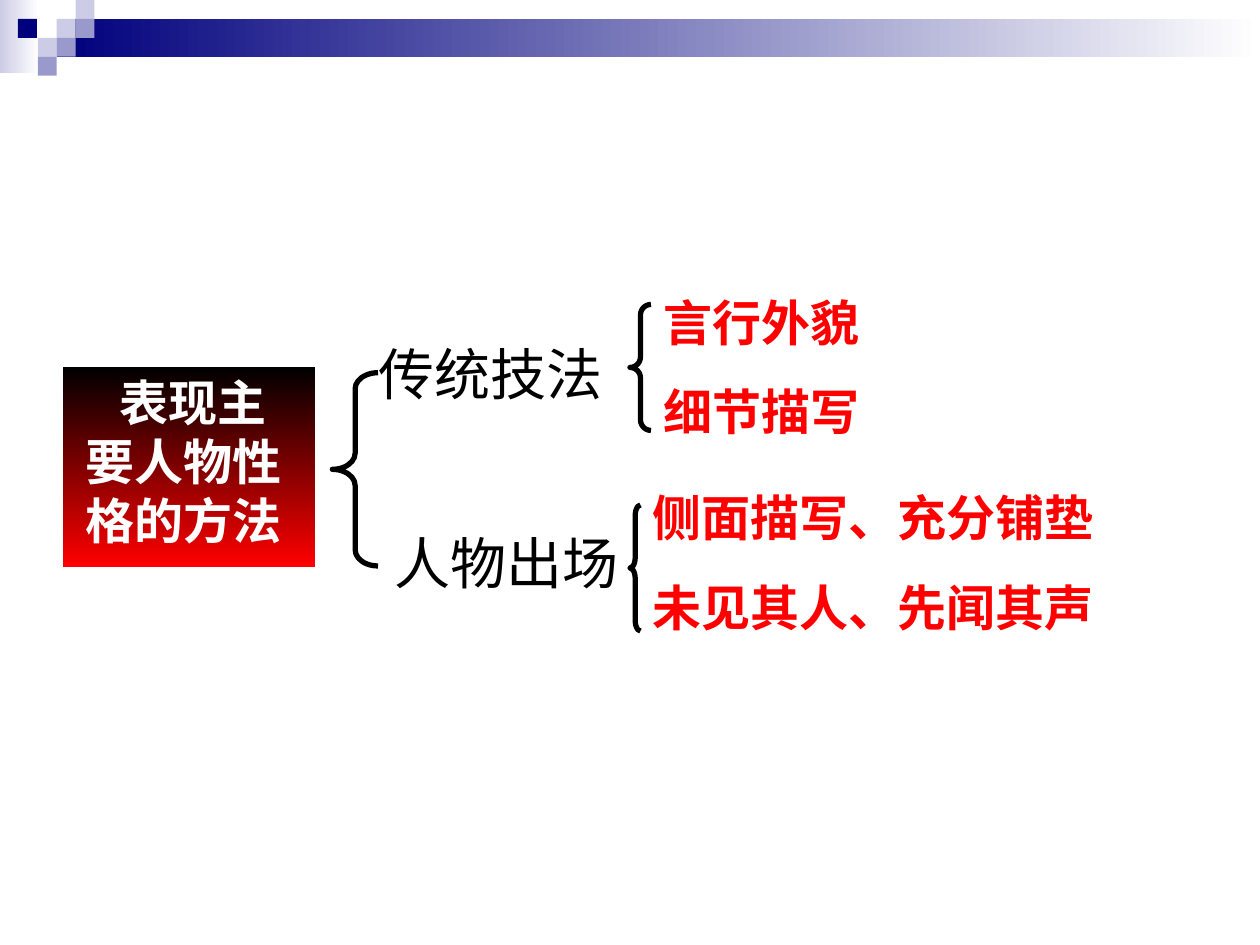
from pptx import Presentation
from pptx.dml.color import RGBColor
from pptx.enum.shapes import MSO_SHAPE
from pptx.util import Inches, Pt

COLORS = {
    "navy": "00007D", "violet": "9999CC", "lilac": "CCCCE6",
    "white": "FFFFFF", "black": "000000", "red": "FF0000",
}

deck = Presentation()
deck.slide_width, deck.slide_height = Inches(10), Inches(7.5)
page = deck.slides.add_slide(deck.slide_layouts[6])
UNIT = deck.slide_width / 120  # the page is a grid of 120 columns by 90 rows


def add_shape(kind, area, colors=(), angle=0):
    """Place a shape on the grid; two colors make a gradient, none an open outline."""
    shape = page.shapes.add_shape(kind, *(round(n * UNIT) for n in area))
    shape.shadow.inherit = False
    if not colors:
        shape.fill.background()
        shape.line.color.rgb = RGBColor.from_string(COLORS["black"])
        shape.line.width = Pt(3)
        return shape
    shape.line.fill.background()
    if len(colors) == 1:
        shape.fill.solid()
        shape.fill.fore_color.rgb = RGBColor.from_string(COLORS[colors[0]])
    else:
        shape.fill.gradient()
        shape.fill.gradient_angle = angle
        for stop, color in zip(shape.fill.gradient_stops, colors):
            stop.color.rgb = RGBColor.from_string(COLORS[color])
    return shape


def add_text(text, *, area, size, color, bold=False, indent=0):
    box = page.shapes.add_textbox(*(round(n * UNIT) for n in area))
    box.text_frame.word_wrap = True
    box.text_frame.text = text
    for index, paragraph in enumerate(box.text_frame.paragraphs):
        if index:
            paragraph.space_before = Pt(size * 0.625)
        if indent:
            paragraph._p.get_or_add_pPr().set("indent", str(Inches(indent)))
        font = paragraph.font
        font.name, font.size, font.bold = "Roboto", Pt(size), bold
        font.color.rgb = RGBColor.from_string(COLORS[color])


# Header band with its mosaic of small squares
TILE = 1.8
add_shape(MSO_SHAPE.RECTANGLE, (0, 0, 3.7, 7), ("lilac", "white"))
add_shape(MSO_SHAPE.RECTANGLE, (3 * TILE, TILE, 120 - 3 * TILE, 2 * TILE), ("navy", "white"))
tiles = [
    (3, 1, "lilac"), (4, 0, "lilac"), (4, 1, "violet"), (2, 2, "lilac"),
    (0.95, 1, "navy"), (3, 2, "violet"), (2, 3, "violet"),
]
for column, row, color in tiles:
    add_shape(MSO_SHAPE.RECTANGLE, (column * TILE, row * TILE, TILE, TILE), (color,))

# Root topic
add_shape(MSO_SHAPE.RECTANGLE, (6, 35, 24, 19), ("black", "red"), angle=270)
add_text("表现主要人物性格的方法", area=(7, 34.9, 23, 18),
         size=28, color="white", bold=True, indent=0.27)

# Braces, each with corners one twelfth of its height
for area in [(31.65, 35.5, 4.35, 18.4), (60, 29, 2, 12), (60, 48.1, 1, 12)]:
    brace = add_shape(MSO_SHAPE.LEFT_BRACE, area)
    brace.adjustments[0] = area[3] / area[2] / 12

# Branches and their details
branches = [
    ("传统技法", (34.9, 31.7, 26, 7.7),
     "言行外貌\n细节描写", (62, 27.25, 36, 15.4)),
    ("人物出场", (36.35, 49.7, 29, 7.7),
     "侧面描写、充分铺垫\n未见其人、先闻其声", (61, 45.85, 47, 15.4)),
]
for branch, branch_area, details, details_area in branches:
    add_text(branch, area=branch_area, size=32, color="black")
    add_text(details, area=details_area, size=28, color="red", bold=True)

deck.save("out.pptx")
